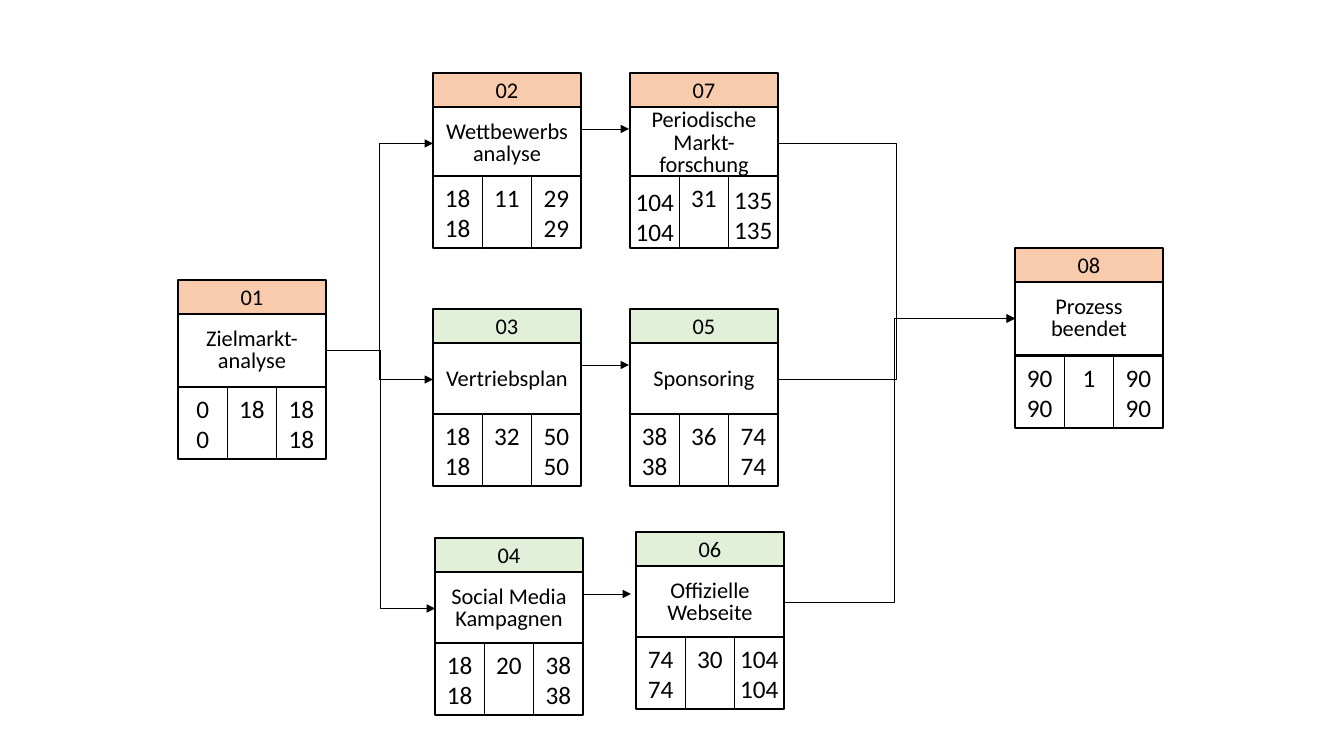
import pptx
import pptx.util
import pptx.dml.color
import pptx.enum.shapes
import pptx.enum.text
import pptx.oxml
import pptx.oxml.ns

SCALE = 914400 / 100.8
COLORS = {"ink": "000000", "paper": "FFFFFF", "critical": "F8CBAD", "regular": "E2F0D9"}
BOX_WIDTH, HEADER_HEIGHT, TITLE_HEIGHT, CELL_HEIGHT = 148, 34, 73, 72
CELL_WIDTH = BOX_WIDTH / 3
ARROW_DROP, ARROW_LENGTH = 22, 48
LEFT_SITE, RIGHT_SITE = 1, 3

deck = pptx.Presentation()
deck.slide_width = round(1344 * SCALE)
deck.slide_height = round(756 * SCALE)
page = deck.slides.add_slide(deck.slide_layouts[6])


def add_box(text, left, top, width, height, fill="paper", size=16, spacing=None, margins=(10, 5), anchor="MIDDLE"):
    box = page.shapes.add_shape(
        pptx.enum.shapes.MSO_SHAPE.RECTANGLE, *[round(n * SCALE) for n in (left, top, width, height)])
    box.shadow.inherit = False
    box.fill.solid()
    box.fill.fore_color.rgb = pptx.dml.color.RGBColor.from_string(COLORS[fill])
    box.line.color.rgb = pptx.dml.color.RGBColor.from_string(COLORS["ink"])
    box.line.width = pptx.util.Pt(1)
    frame = box.text_frame
    frame.word_wrap = True
    frame.vertical_anchor = pptx.enum.text.MSO_ANCHOR[anchor]
    frame.margin_left = frame.margin_right = round(margins[0] * SCALE)
    frame.margin_top = frame.margin_bottom = round(margins[1] * SCALE)
    for index, line in enumerate(text.split("\n")):
        para = frame.add_paragraph() if index else frame.paragraphs[0]
        para.alignment = pptx.enum.text.PP_ALIGN.CENTER
        if spacing:
            para.line_spacing = pptx.util.Pt(spacing)
        span = para.add_run()
        span.text = line
        span.font.name = "Calibri"
        span.font.size = pptx.util.Pt(size)
        span.font.color.rgb = pptx.dml.color.RGBColor.from_string(COLORS["ink"])
    return box


def add_link(kind, start=(0, 0), end=(0, 0), source=None, target=None, arrow=True, bend=None):
    link = page.shapes.add_connector(
        pptx.enum.shapes.MSO_CONNECTOR[kind], *[round(n * SCALE) for n in (*start, *end)])
    if source is not None:
        link.begin_connect(source, RIGHT_SITE)
        link.end_connect(target, LEFT_SITE)
    link.line.color.rgb = pptx.dml.color.RGBColor.from_string(COLORS["ink"])
    link.line.width = pptx.util.Pt(0.5)
    properties = link._element.spPr
    if bend:
        guides = properties.find(pptx.oxml.ns.qn("a:prstGeom")).get_or_add_avLst()
        guide = pptx.oxml.parse_xml(f'<a:gd {pptx.oxml.ns.nsdecls("a")} name="adj1" fmla="val {bend}"/>')
        guides.append(guide)
    outline = link.line._get_or_add_ln()
    outline.append(pptx.oxml.parse_xml(f'<a:tailEnd {pptx.oxml.ns.nsdecls("a")} type="triangle"/>'))
    properties.append(pptx.oxml.parse_xml(f'<a:effectLst {pptx.oxml.ns.nsdecls("a")}/>'))


LEVEL = (0, 0, 0)
activities = [
    ("01", "Zielmarkt-analyse", 178, 280, 387, "critical", ("0\n0", "18", "18\n18"), LEVEL),
    ("02", "Wettbewerbsanalyse", 433, 73, 176, "critical", ("18\n18", "11", "29\n29"), LEVEL),
    ("03", "Vertriebsplan", 433, 309, 414, "regular", ("18\n18", "32", "50\n50"), LEVEL),
    ("04", "Social Media Kampagnen", 435, 538, 643, "regular", ("18\n18", "20", "38\n38"), LEVEL),
    ("05", "Sponsoring", 630, 309, 414, "regular", ("38\n38", "36", "74\n74"), LEVEL),
    ("06", "Offizielle Webseite", 636, 532, 637, "regular", ("74\n74", "30", "104\n104"), LEVEL),
    ("07", "Periodische Markt-forschung", 630, 73, 176, "critical", ("104\n104", "31", "135\n135"), (4, 0, 2)),
    ("08", "Prozess beendet", 1015, 248, 356, "critical", ("90\n90", "1", "90\n90"), LEVEL),
]

titles = {}
for number, title, left, top, cell_top, fill, values, drops in activities:
    title_top = top + HEADER_HEIGHT
    titles[number] = add_box(title, left, title_top, BOX_WIDTH, TITLE_HEIGHT, spacing=16)
    add_box(number, left, top, BOX_WIDTH, HEADER_HEIGHT, fill=fill)
    for column, (value, drop) in enumerate(zip(values, drops)):
        add_box(value, left + column * CELL_WIDTH, cell_top, CELL_WIDTH, CELL_HEIGHT,
                size=18, margins=(0, 6 + drop), anchor="TOP")
    if number in ("02", "03", "04"):
        right, arrow_top = left + BOX_WIDTH, title_top + ARROW_DROP
        add_link("STRAIGHT", (right, arrow_top), (right + ARROW_LENGTH, arrow_top))

for source, target, bend in [
    ("01", "02", None), ("01", "03", None), ("01", "04", None),
    ("07", "08", None), ("05", "08", None), ("06", "08", 47900),
]:
    add_link("ELBOW", source=titles[source], target=titles[target], bend=bend)

deck.save("out.pptx")
